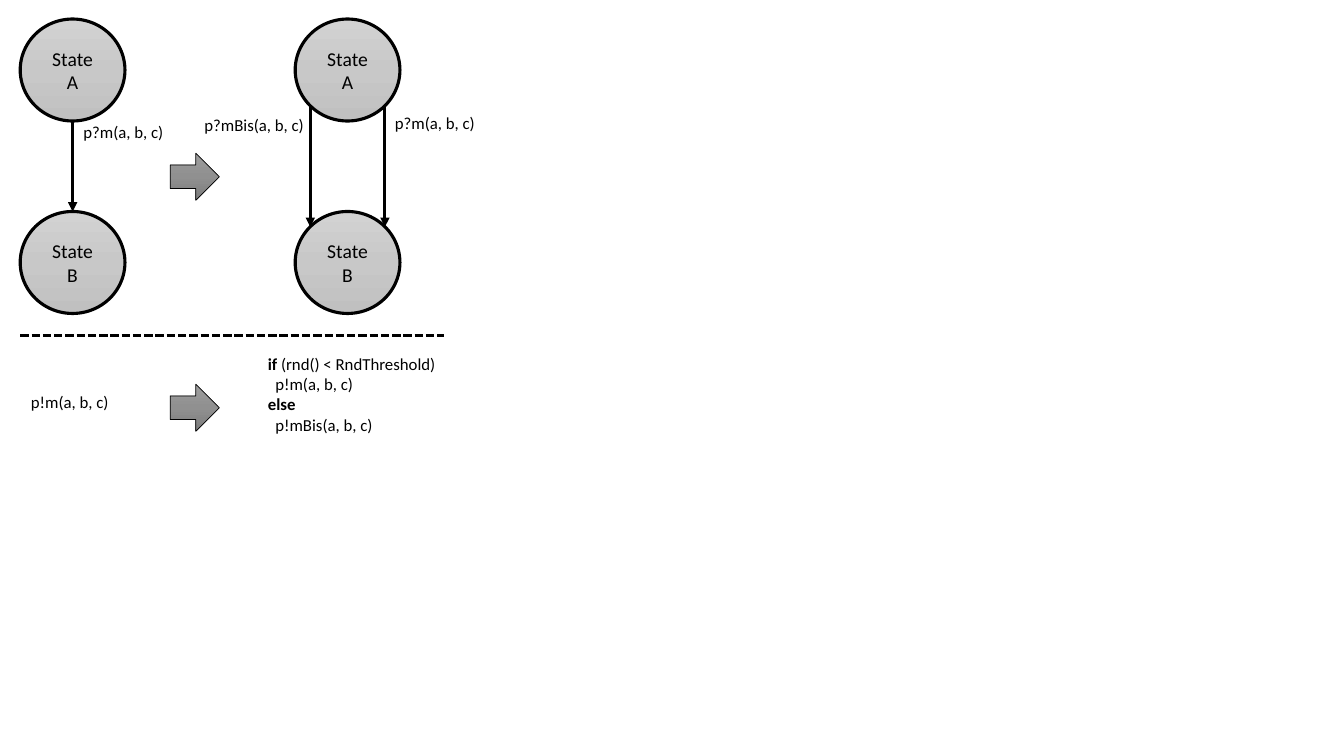
"""Build a slide showing how a state transition and its send are duplicated."""
import copy

import pptx
import pptx.dml.color
import pptx.enum.dml
import pptx.enum.shapes
import pptx.enum.text
import pptx.oxml
import pptx.oxml.ns
import pptx.util

Cm, Pt = pptx.util.Cm, pptx.util.Pt
SHAPE = pptx.enum.shapes.MSO_SHAPE
FONT = "Calibri"
COLOURS = {
    "ink": "000000",
    "state": ("D2D2D2", "C8C8C8", "C0C0C0"),
    "arrow": ("9D9D9D", "909090", "7C7C7C"),
}
STATE_W, STATE_H = 2.64, 2.57
STATE_TOPS = {"State A": 0.48, "State B": 5.33}


def rgb(code):
    return pptx.dml.color.RGBColor.from_string(code)


def set_line(line, width):
    line.color.rgb = rgb(COLOURS["ink"])
    line.width = Pt(width)


def add_run(p, text, size, bold=False):
    r = p.add_run()
    r.text = text
    r.font.name, r.font.size, r.font.bold = FONT, Pt(size), bold
    r.font.color.rgb = rgb(COLOURS["ink"])


def add_gradient_shape(s, kind, box, colours, width):
    sp = s.shapes.add_shape(kind, *map(Cm, box))
    sp.shadow.inherit = False
    set_line(sp.line, width)
    sp.fill.gradient()
    sp.fill.gradient_angle = 270
    first = sp._element.spPr.find(".//" + pptx.oxml.ns.qn("a:gs"))
    first.addnext(copy.deepcopy(first))
    for i, (stop, code) in enumerate(zip(sp.fill.gradient_stops, colours)):
        stop.position = i / 2
        stop.color.rgb = rgb(code)
    return sp


def add_state(s, name, left):
    box = (left, STATE_TOPS[name], STATE_W, STATE_H)
    sp = add_gradient_shape(s, SHAPE.OVAL, box, COLOURS["state"], 2.25)
    p = sp.text_frame.paragraphs[0]
    p.alignment = pptx.enum.text.PP_ALIGN.CENTER
    add_run(p, name, 14)


def add_block_arrow(s, top):
    box = (4.29, top, 1.24, 1.19)
    add_gradient_shape(s, SHAPE.RIGHT_ARROW, box, COLOURS["arrow"], 0.5)


def add_line(s, x1, y1, x2, y2, width):
    straight = pptx.enum.shapes.MSO_CONNECTOR.STRAIGHT
    sp = s.shapes.add_connector(straight, *map(Cm, (x1, y1, x2, y2)))
    set_line(sp.line, width)
    pptx.oxml.ns.qn("a:effectLst")
    sp._element.spPr.append(
        sp._element.makeelement(pptx.oxml.ns.qn("a:effectLst"), {}))
    return sp


def add_transition(s, x, top, bottom):
    ln = add_line(s, x, top, x, bottom, 2.25).line._get_or_add_ln()
    ln.append(ln.makeelement(pptx.oxml.ns.qn("a:tailEnd"), {"type": "triangle"}))


def add_code(s, box, lines):
    """Add lines of code, each given as (indent, [(text, bold), ...])."""
    tf = s.shapes.add_textbox(*map(Cm, box)).text_frame
    tf.word_wrap = False
    tf.auto_size = pptx.enum.text.MSO_AUTO_SIZE.SHAPE_TO_FIT_TEXT
    for i, (indent, runs) in enumerate(lines):
        p = tf.add_paragraph() if i else tf.paragraphs[0]
        if indent:
            p._p.get_or_add_pPr().set("marL", str(Cm(indent)))
        for text, bold in runs:
            add_run(p, text, 12, bold)


def add_label(s, left, top, width, text):
    add_code(s, (left, top, width, 0.76), [(0, [(text, False)])])


def main():
    prs = pptx.Presentation()
    prs.slide_width, prs.slide_height = Cm(33.87), Cm(19.05)
    s = prs.slides.add_slide(prs.slide_layouts[6])

    for left in (0.51, 7.44):
        for name in STATE_TOPS:
            add_state(s, name, left)
    add_transition(s, 1.83, 3.05, 5.33)
    for x in (7.82, 9.7):
        add_transition(s, x, 2.69, 5.72)

    add_label(s, 1.85, 2.95, 2.54, "p?m(a, b, c)")
    add_label(s, 4.9, 2.77, 3.05, "p?mBis(a, b, c)")
    add_label(s, 9.7, 2.72, 2.54, "p?m(a, b, c)")
    add_label(s, 0.53, 9.75, 2.49, "p!m(a, b, c)")
    add_code(s, (6.5, 8.79, 4.78, 2.31), [
        (0, [("if", True), (" (rnd() < RndThreshold)", False)]),
        (0.19, [("p!m(a, b, c)", False)]),
        (0, [("else", True)]),
        (0.19, [("p!mBis(a, b, c)", False)]),
    ])

    for top in (3.86, 9.68):
        add_block_arrow(s, top)
    divider = add_line(s, 0.51, 8.46, 11.18, 8.46, 2)
    divider.line.dash_style = pptx.enum.dml.MSO_LINE.SQUARE_DOT
    prs.save("out.pptx")


if __name__ == "__main__":
    main()
